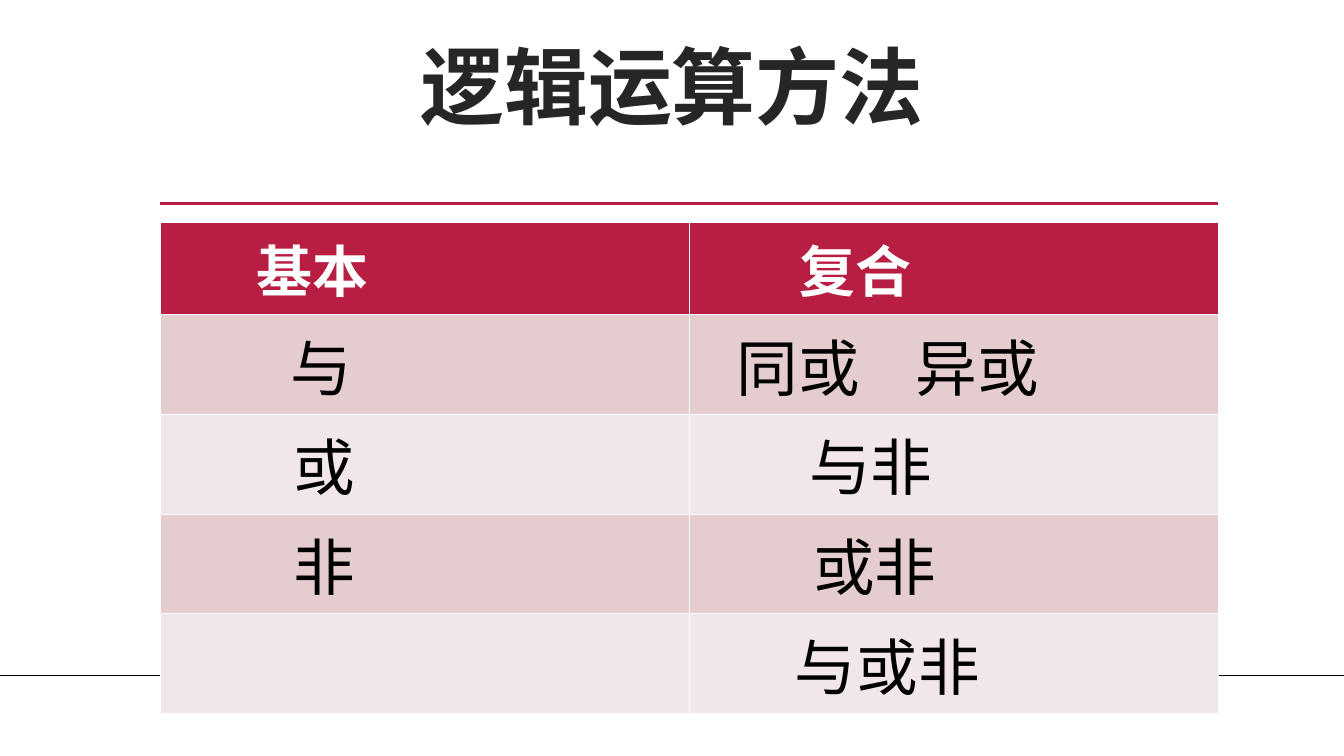
import pptx
import pptx.dml.color
import pptx.enum.shapes
import pptx.enum.text
import pptx.oxml.ns
import pptx.util
from lxml import etree

RGBColor = pptx.dml.color.RGBColor
Inches, Pt = pptx.util.Inches, pptx.util.Pt

# Content: each cell is (text, indent in inches)
TITLE = "逻辑运算方法"
OPERATIONS = [
    [("基本", 0.96), ("复合", 1.1)],
    [("与", 1.29), ("同或\t异或", 0.47)],
    [("或", 1.32), ("与非", 1.19)],
    [("非", 1.32), ("或非", 1.23)],
    [("", 0.09), ("与或非", 1.05)],
]
SECOND_WORD_TAB = 1.78

# Colours and fonts
CRIMSON = RGBColor(0xB7, 0x1E, 0x42)
ROSE = RGBColor(0xE5, 0xCC, 0xCE)
PALE_ROSE = RGBColor(0xF2, 0xE7, 0xE8)
WHITE = RGBColor(0xFF, 0xFF, 0xFF)
BLACK = RGBColor(0, 0, 0)
RULE_BLACK = RGBColor(0, 0, 1)
CHARCOAL = RGBColor(0x26, 0x26, 0x26)
LATIN, CHINESE = "Calibri", "Noto Sans CJK SC"

# Grid in inches
WIDTH, HEIGHT = 13.34, 7.5
LEFT, TOP, COLUMN = 1.59, 2.21, 5.25
HEADER_ROW, BODY_ROW = 0.91, 0.99


def add_xml(parent, tag, **attributes):
    return etree.SubElement(parent, pptx.oxml.ns.qn(tag), attributes)


def write(frame, text, size, color, font=LATIN, bold=False, align=None,
          spacing=None, tab=None):
    paragraph = frame.paragraphs[0]
    if tab:
        tabs = add_xml(paragraph._p.get_or_add_pPr(), "a:tabLst")
        add_xml(tabs, "a:tab", pos=str(Inches(tab)), algn="l")
    paragraph.alignment = align
    paragraph.line_spacing = spacing
    run = paragraph.add_run()
    run.text = text
    run.font.size, run.font.bold, run.font.name = Pt(size), bold, font
    run.font.color.rgb = color
    add_xml(run._r.get_or_add_rPr(), "a:ea", typeface=CHINESE)


def add_rule(slide, start, end, y, color, weight):
    rule = slide.shapes.add_connector(
        pptx.enum.shapes.MSO_CONNECTOR.STRAIGHT,
        Inches(start), Inches(y), Inches(end), Inches(y))
    rule.line.color.rgb = color
    rule.line.width = Pt(weight)
    add_xml(rule._element.spPr, "a:effectLst")


def add_borders(cell, weights):
    for side, weight in weights.items():
        border = add_xml(cell._tc.get_or_add_tcPr(), f"a:ln{side}",
                         w=str(Pt(weight)))
        add_xml(add_xml(border, "a:solidFill"), "a:srgbClr", val=str(WHITE))


def add_operations(slide):
    rows, columns = len(OPERATIONS), len(OPERATIONS[0])
    heights = [HEADER_ROW] + [BODY_ROW] * (rows - 1)
    table = slide.shapes.add_table(
        rows, columns, Inches(LEFT), Inches(TOP),
        Inches(COLUMN * columns), Inches(sum(heights))).table
    for column in table.columns:
        column.width = Inches(COLUMN)
    for r, operations in enumerate(OPERATIONS):
        table.rows[r].height = Inches(heights[r])
        header = r == 0
        for c, (name, indent) in enumerate(operations):
            cell = table.cell(r, c)
            add_borders(cell, {"L": 0.45, "R": 0.45,
                               "T": 1.47 if r == 1 else 0.45,
                               "B": 1.47 if header else 0.45})
            cell.fill.solid()
            cell.fill.fore_color.rgb = (
                CRIMSON if header else ROSE if r % 2 else PALE_ROSE)
            cell.margin_left = Inches(indent)
            if name:
                write(cell.text_frame, name, size=40 if header else 44,
                      color=WHITE if header else BLACK, bold=header,
                      font=CHINESE if header else LATIN,
                      tab=SECOND_WORD_TAB if "\t" in name else None)


def main():
    deck = pptx.Presentation()
    deck.slide_width, deck.slide_height = Inches(WIDTH), Inches(HEIGHT)
    slide = deck.slides.add_slide(deck.slide_layouts[6])

    # Rules behind the table
    add_rule(slide, 0, WIDTH, 6.7, RULE_BLACK, 1)
    add_rule(slide, LEFT, LEFT + 2 * COLUMN, 2.02, CRIMSON, 2.5)

    # Table of operations
    add_operations(slide)

    # Title
    heading = slide.shapes.add_textbox(
        Inches(4.07), Inches(0.41), Inches(5.2), Inches(1.1)).text_frame
    heading.word_wrap = False
    write(heading, TITLE, size=60, color=CHARCOAL, bold=True, spacing=0.9,
          align=pptx.enum.text.PP_ALIGN.CENTER)

    deck.save("out.pptx")


if __name__ == "__main__":
    main()
